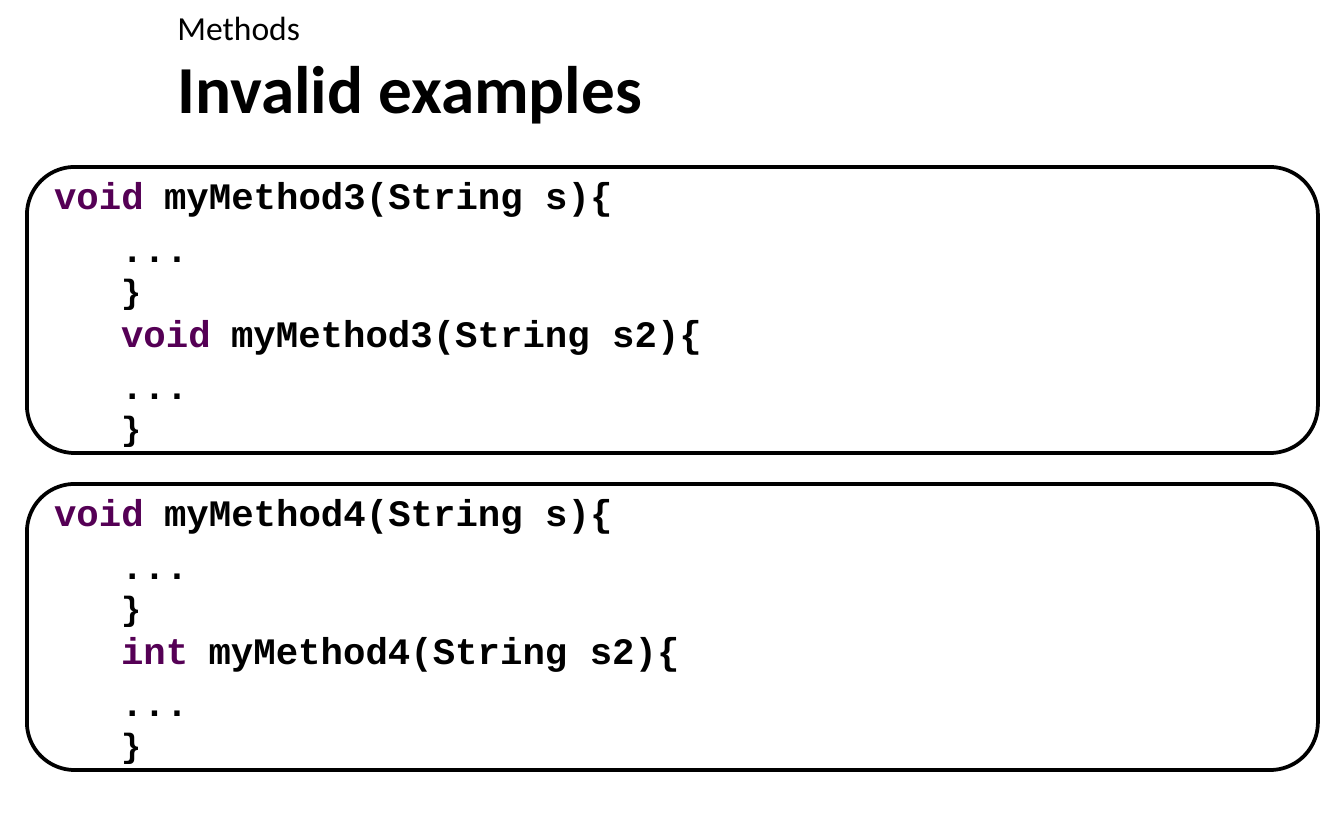
from pptx import Presentation
from pptx.dml.color import RGBColor
from pptx.enum.shapes import MSO_SHAPE
from pptx.enum.text import MSO_ANCHOR, MSO_AUTO_SIZE, PP_ALIGN
from pptx.util import Pt
from lxml import etree

ROUND = MSO_SHAPE.ROUNDED_RECTANGLE
MID = MSO_ANCHOR.MIDDLE
FIXED = MSO_AUTO_SIZE.NONE
LEFT = PP_ALIGN.LEFT
NS = "http://schemas.openxmlformats.org/drawingml/2006/main"
SCALE = 914400 / 134.4


def px(n):
    return round(n * SCALE)


def style(run, size, color="000000", face="Courier New", bold=True):
    run.font.size = Pt(size)
    run.font.name = face
    run.font.bold = bold
    run.font.color.rgb = RGBColor.from_string(color)


deck = Presentation()
deck.slide_width, deck.slide_height = px(1344), px(840)
slide = deck.slides.add_slide(deck.slide_layouts[1])
title, topic = slide.placeholders

heads = [
    (title, "Invalid examples", 50, 74, 36, True),
    (topic, "Methods", 0, 50, 18, False),
]
for box, text, top, high, size, bold in heads:
    box.left, box.top, box.width, box.height = px(164), px(top), px(1144), px(high)
    frame = box.text_frame
    frame.text = text
    frame.auto_size = FIXED
    para = frame.paragraphs[0]
    para.alignment = LEFT
    style(para.runs[0], size, face="Calibri", bold=bold)

props = topic.text_frame.paragraphs[0]._p.get_or_add_pPr()
props.set("marL", "0")
props.set("indent", "0")
etree.SubElement(props, f"{{{NS}}}buNone")

cards = [
    (167, ("void", "myMethod3(String s){"), ("void", "myMethod3(String s2){")),
    (484, ("void", "myMethod4(String s){"), ("int", "myMethod4(String s2){")),
]
for top, first, second in cards:
    card = slide.shapes.add_shape(ROUND, px(27), px(top), px(1291), px(286))
    card.shadow.inherit = False
    card.fill.solid()
    card.fill.fore_color.rgb = RGBColor.from_string("FFFFFF")
    card.line.color.rgb = RGBColor.from_string("000000")
    card.line.width = Pt(2)
    frame = card.text_frame
    frame.word_wrap = True
    frame.vertical_anchor = MID
    rows = [first, "...", "}", second, "...", "}"]
    frame.text = "\n".join(r if isinstance(r, str) else "" for r in rows)
    for i, (para, row) in enumerate(zip(frame.paragraphs, rows)):
        para.alignment = LEFT
        if i:
            para._p.get_or_add_pPr().set("marL", str(px(67)))
        if i == 0 or row == "...":
            para.space_before = Pt(4)
        if isinstance(row, str):
            style(para.runs[0], 18 if row == "}" else 20)
        else:
            word, call = row
            parts = [(word, 20, "550055"), (" ", 18, "000000"), (call, 20, "000000")]
            for text, size, color in parts:
                run = para.add_run()
                run.text = text
                style(run, size, color)

deck.save("out.pptx")
